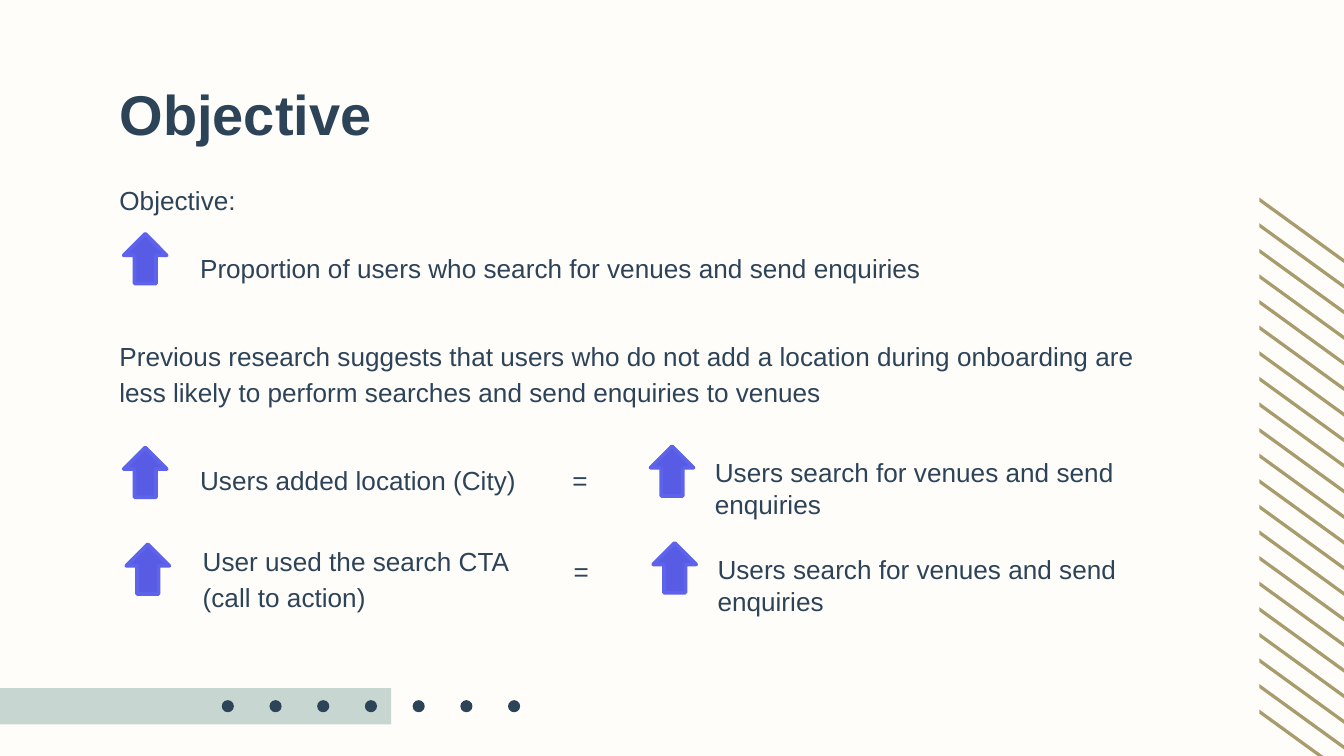
from lxml.etree import SubElement
from pptx import Presentation
from pptx.dml.color import RGBColor
from pptx.enum.shapes import MSO_SHAPE
from pptx.enum.text import MSO_ANCHOR, MSO_AUTO_SIZE, PP_ALIGN
from pptx.oxml.ns import qn
from pptx.util import Inches, Pt

CREAM = RGBColor(0xFF, 0xFD, 0xFA)
NAVY = RGBColor(0x2C, 0x43, 0x58)
SAGE = RGBColor(0xC7, 0xD6, 0xD1)
GOLD = RGBColor(0xA8, 0x9C, 0x6C)
ARROW_FILL = RGBColor(0x58, 0x5C, 0xE4)
ARROW_LINE = RGBColor(0x5E, 0x63, 0xEB)
FONT = "Arial"

STRIPE_COUNT = 21
DOT_COUNT = 7
OUTCOME = "Users search for venues and send enquiries"


def paint(shape, color):
    shape.shadow.inherit = False
    shape.fill.solid()
    shape.fill.fore_color.rgb = color
    shape.line.fill.background()


def write(frame, text, size, bold=False, spacing=1.0):
    frame.word_wrap = True
    frame.auto_size = MSO_AUTO_SIZE.NONE
    frame.vertical_anchor = MSO_ANCHOR.TOP
    paragraph = frame.paragraphs[0]
    paragraph.alignment = PP_ALIGN.LEFT
    paragraph.line_spacing = spacing
    run = paragraph.add_run()
    run.text = text
    run.font.name = FONT
    run.font.size = Pt(size)
    run.font.bold = bold
    run.font.color.rgb = NAVY
    return paragraph


def add_text(slide, text, left, top, width, height=0.37,
             inset_right=0.0, inset_y=0.1, spacing=1.15):
    box = slide.shapes.add_textbox(
        Inches(left), Inches(top), Inches(width), Inches(height))
    frame = box.text_frame
    frame.margin_left = Inches(0.1)
    frame.margin_right = Inches(inset_right)
    frame.margin_top = frame.margin_bottom = Inches(inset_y)
    return write(frame, text, 14, spacing=spacing)


def set_tab_stop(paragraph, position):
    tabs = SubElement(paragraph._p.get_or_add_pPr(), qn("a:tabLst"))
    SubElement(tabs, qn("a:tab"), pos=str(Inches(position)), algn="l")


def add_increase_arrow(slide, left, top):
    arrow = slide.shapes.add_shape(
        MSO_SHAPE.DOWN_ARROW, Inches(left), Inches(top), Inches(0.32), Inches(0.37))
    arrow.rotation = 180
    paint(arrow, ARROW_FILL)
    arrow.line.color.rgb = ARROW_LINE
    arrow.line.width = Pt(2)


def add_stripes(slide, left, top, width, height):
    """Diagonal stripes evenly spread down the box."""
    drop, thickness = 0.53, 0.03
    pitch = (height - drop - thickness) / (STRIPE_COUNT - 1)
    right = left + width
    for index in range(STRIPE_COUNT):
        y = top + index * pitch
        corners = [(right, y + drop), (right, y + drop + thickness),
                   (left, y + thickness)]
        builder = slide.shapes.build_freeform(Inches(left), Inches(y))
        builder.add_line_segments(
            [(Inches(cx), Inches(cy)) for cx, cy in corners], close=True)
        paint(builder.convert_to_shape(), GOLD)


def add_footer(slide, left, top, width, height):
    """Sage bar with a row of dots running past its end."""
    bar = slide.shapes.add_shape(
        MSO_SHAPE.RECTANGLE, Inches(left), Inches(top), Inches(width), Inches(height))
    paint(bar, SAGE)
    size, first, last = 0.09, 1.65, 3.78
    pitch = (last - first) / (DOT_COUNT - 1)
    for index in range(DOT_COUNT):
        dot = slide.shapes.add_shape(
            MSO_SHAPE.OVAL, Inches(left + first + index * pitch),
            Inches(top + (height - size) / 2), Inches(size), Inches(size))
        paint(dot, NAVY)


def add_title(slide, left, top, width, height):
    title = slide.shapes.title
    title.left, title.top = Inches(left), Inches(top)
    title.width, title.height = Inches(width), Inches(height)
    frame = title.text_frame
    frame.margin_left = frame.margin_right = Inches(0.1)
    frame.margin_top = frame.margin_bottom = Inches(0.1)
    write(frame, "Objective", 30, bold=True)


def add_goal(slide, left, top, width):
    add_text(slide, "Objective:", left, top, 1.2)
    add_increase_arrow(slide, left + 0.13, top + 0.5)
    add_text(slide, "Proportion of users who search for venues and send enquiries",
             left + 0.6, top + 0.5, width - 0.6)


def add_hypothesis(slide, left, top, cause, cause_width, cause_rise=0.0):
    """One row: more of the cause brings more of the outcome."""
    add_increase_arrow(slide, left, top + 0.01)
    cause_line = add_text(slide, cause, left + 0.47, top - cause_rise, cause_width)
    add_increase_arrow(slide, left + 3.92, top)
    add_text(slide, OUTCOME, left + 4.3, top + 0.03, 3.99, 0.34,
             inset_right=0.1, inset_y=0.05, spacing=1.0)
    return cause_line


def main():
    deck = Presentation()
    deck.slide_width = Inches(10)
    deck.slide_height = deck.slide_width * 9 // 16
    slide = deck.slides.add_slide(deck.slide_layouts[5])
    slide.background.fill.solid()
    slide.background.fill.fore_color.rgb = CREAM

    # Decoration
    add_stripes(slide, 9.37, 1.47, 0.73, 4.37)
    add_footer(slide, 0, 5.12, 2.91, 0.27)

    # Title and goal
    add_title(slide, 0.79, 0.49, 8.43, 0.63)
    add_goal(slide, 0.79, 1.24, 6.38)

    # Earlier research and the hypotheses drawn from it
    add_text(slide, "Previous research suggests that users who do not add a location "
             "during onboarding are less likely to perform searches and send "
             "enquiries to venues", 0.79, 2.45, 7.8, 0.62,
             inset_right=0.1, inset_y=0.05)
    location_line = add_hypothesis(
        slide, 0.92, 3.32, "Users added location (City)\t=", 3.12)
    set_tab_stop(location_line, 2.77)
    add_hypothesis(slide, 0.94, 4.04, "User used the search CTA (call to action)",
                   2.59, cause_rise=0.12)
    add_text(slide, "=", 4.17, 4, 0.39)

    deck.save("out.pptx")


if __name__ == "__main__":
    main()
